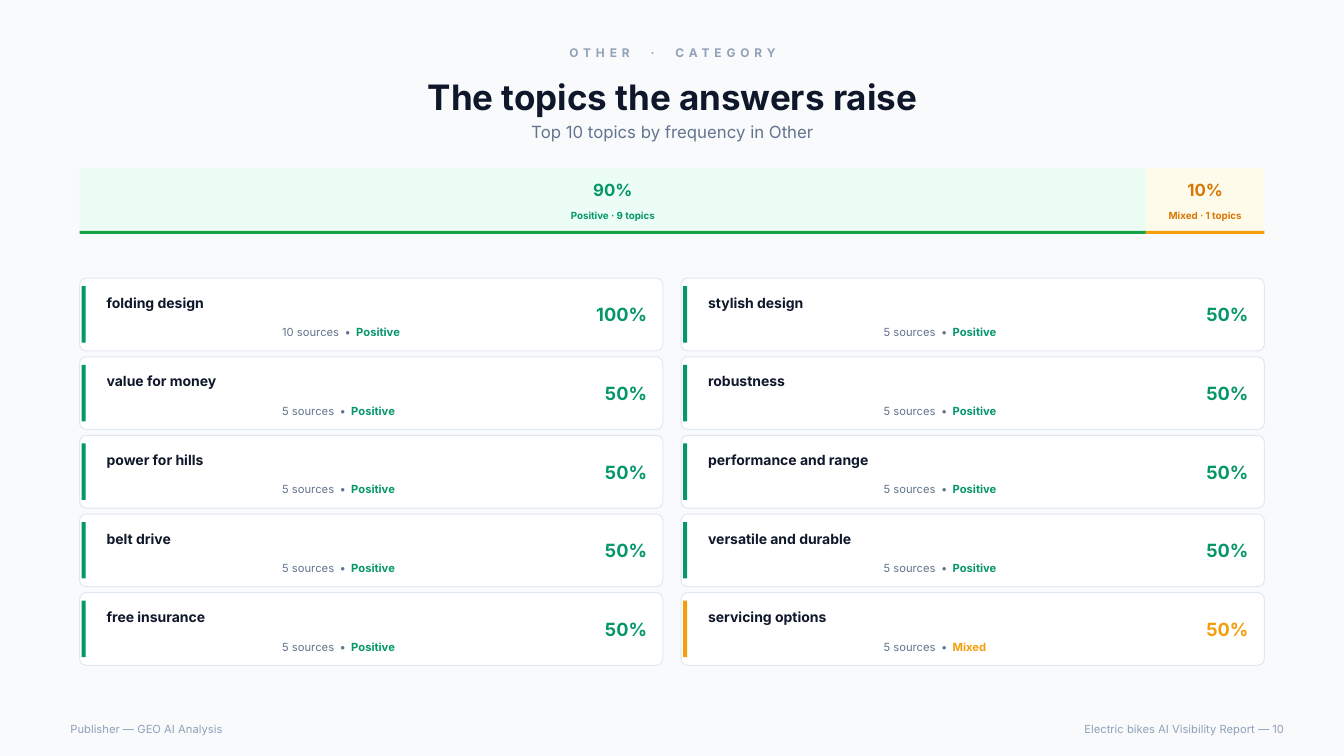
from pptx import Presentation
from pptx.dml.color import RGBColor
from pptx.enum.shapes import MSO_SHAPE
from pptx.enum.text import MSO_ANCHOR, PP_ALIGN
from pptx.util import Inches, Pt

FONT = "Inter"
PAGE = RGBColor(0xF8, 0xFA, 0xFC)
WHITE = RGBColor(0xFF, 0xFF, 0xFF)
BORDER = RGBColor(0xE2, 0xE8, 0xF0)
INK = RGBColor(0x0F, 0x17, 0x2A)
SLATE = RGBColor(0x62, 0x74, 0x8E)
MUTED = RGBColor(0x90, 0xA1, 0xB9)
GREEN = RGBColor(0x05, 0x96, 0x69)
GREEN_LINE = RGBColor(0x16, 0xA3, 0x4A)
GREEN_TINT = RGBColor(0xEC, 0xFD, 0xF5)
AMBER = RGBColor(0xF5, 0x9E, 0x0B)
AMBER_TEXT = RGBColor(0xD9, 0x77, 0x06)
AMBER_TINT = RGBColor(0xFF, 0xFB, 0xEB)

SLIDE_W, SLIDE_H = 13.33, 7.5
HEAD_X, HEAD_W = 0.6, 12.14
BODY_X, BODY_W = 0.79, 11.75
COLUMN_GAP, ROW_GAP = 0.18, 0.06
ROWS = 5

SENTIMENT_COLORS = {"Positive": GREEN, "Mixed": AMBER}
# share, label, tint, underline, text
SENTIMENT_SHARES = [
    (90, "Positive · 9 topics", GREEN_TINT, GREEN_LINE, GREEN),
    (10, "Mixed · 1 topics", AMBER_TINT, AMBER, AMBER_TEXT),
]
# name, sources, sentiment, frequency; filled column by column
TOPICS = [
    ("folding design", 10, "Positive", "100%"),
    ("value for money", 5, "Positive", "50%"),
    ("power for hills", 5, "Positive", "50%"),
    ("belt drive", 5, "Positive", "50%"),
    ("free insurance", 5, "Positive", "50%"),
    ("stylish design", 5, "Positive", "50%"),
    ("robustness", 5, "Positive", "50%"),
    ("performance and range", 5, "Positive", "50%"),
    ("versatile and durable", 5, "Positive", "50%"),
    ("servicing options", 5, "Mixed", "50%"),
]


def add_block(slide, x, y, w, h, fill, kind=MSO_SHAPE.RECTANGLE):
    sp = slide.shapes.add_shape(kind, Inches(x), Inches(y), Inches(w), Inches(h))
    sp.shadow.inherit = False
    sp.fill.solid()
    sp.fill.fore_color.rgb = fill
    sp.line.fill.background()
    return sp


def add_run(p, text, size, color, bold=False, spacing=0):
    """Append a run; spacing is the letter spacing in points."""
    r = p.add_run()
    r.text = text
    r.font.name, r.font.size, r.font.bold = FONT, Pt(size), bold
    r.font.color.rgb = color
    if spacing:
        r._r.get_or_add_rPr().set("spc", str(round(spacing * 100)))


def add_separator(p, mark, size, color, spacing, gap):
    """Append a mark between two widened spaces."""
    for text, width in ((" ", gap), (mark, spacing), (" ", gap)):
        add_run(p, text, size, color, True, width)


def add_text(slide, x, y, w, h, text="", size=8, color=SLATE, bold=False,
             align=PP_ALIGN.LEFT, anchor=MSO_ANCHOR.MIDDLE, wrap=True):
    """Add a text box and return its paragraph."""
    tf = slide.shapes.add_textbox(Inches(x), Inches(y), Inches(w), Inches(h)).text_frame
    tf.word_wrap = wrap
    tf.vertical_anchor = anchor
    p = tf.paragraphs[0]
    p.alignment = align
    if text:
        add_run(p, text, size, color, bold)
    return p


def add_header(slide, x, y, w):
    center = PP_ALIGN.CENTER
    p = add_text(slide, x, y, w, 0.25, align=center)
    add_run(p, "OTHER", 8.5, MUTED, True, 3.5)
    add_separator(p, "·", 8.5, MUTED, 3.5, 9.4)
    add_run(p, "CATEGORY", 8.5, MUTED, True, 3.5)
    add_text(slide, x, y + 0.28, w, 0.56, "The topics the answers raise", 25, INK, True, center)
    add_text(slide, x, y + 0.78, w, 0.25, "Top 10 topics by frequency in Other", 12, SLATE,
             align=center)


def add_footer(slide, x, y, w):
    half = w / 2
    add_text(slide, x, y, half, 0.22, "Publisher — GEO AI Analysis", 8, MUTED)
    add_text(slide, x + half + 0.1, y, half, 0.22, "Electric bikes AI Visibility Report — 10",
             8, MUTED, align=PP_ALIGN.RIGHT)


def add_sentiment_bar(slide, x, y, w, h):
    for share, label, tint, underline, color in SENTIMENT_SHARES:
        part = w * share / 100
        add_block(slide, x, y, part, h, tint)
        add_block(slide, x, y + h - 0.03, part, 0.03, underline)
        add_text(slide, x, y + 0.07, part, 0.28, f"{share}%", 12, color, True, PP_ALIGN.CENTER)
        add_text(slide, x, y + 0.36, part, 0.22, label, 7, color, True, PP_ALIGN.CENTER)
        x += part


def add_topic_card(slide, x, y, w, h, topic):
    name, sources, sentiment, frequency = topic
    color = SENTIMENT_COLORS[sentiment]
    card = add_block(slide, x, y, w, h, WHITE, MSO_SHAPE.ROUNDED_RECTANGLE)
    card.adjustments[0] = 0.09
    card.line.color.rgb = BORDER
    card.line.width = Pt(0.75)
    add_block(slide, x + 0.02, y + 0.08, 0.04, h - 0.16, color)
    add_text(slide, x + 0.17, y + 0.11, 4.53, 0.27, name, 10, INK, True, anchor=MSO_ANCHOR.TOP)
    p = add_text(slide, x + 1.91, y + 0.42, 2.79, 0.22, f"{sources} sources",
                 anchor=MSO_ANCHOR.TOP)
    add_separator(p, "•", 8, SLATE, 0, 2.2)
    add_run(p, sentiment, 8, color, True)
    add_text(slide, x + w - 0.78, y, 0.72, h, frequency, 13, color, True,
             PP_ALIGN.RIGHT, wrap=False)


def add_topic_grid(slide, x, y, w, h):
    card_w = (w - COLUMN_GAP) / 2
    card_h = (h - ROW_GAP * (ROWS - 1)) / ROWS
    for i, topic in enumerate(TOPICS):
        column, row = divmod(i, ROWS)
        add_topic_card(slide, x + column * (card_w + COLUMN_GAP),
                       y + row * (card_h + ROW_GAP), card_w, card_h, topic)


def main():
    prs = Presentation()
    prs.slide_width, prs.slide_height = Inches(SLIDE_W), Inches(SLIDE_H)
    slide = prs.slides.add_slide(prs.slide_layouts[6])
    add_block(slide, 0, 0, SLIDE_W, SLIDE_H, PAGE)
    add_header(slide, HEAD_X, 0.4, HEAD_W)
    add_footer(slide, HEAD_X, 7.12, HEAD_W)
    add_sentiment_bar(slide, BODY_X, 1.67, BODY_W, 0.65)
    add_topic_grid(slide, BODY_X, 2.76, BODY_W, 3.84)
    prs.save("out.pptx")


if __name__ == "__main__":
    main()
